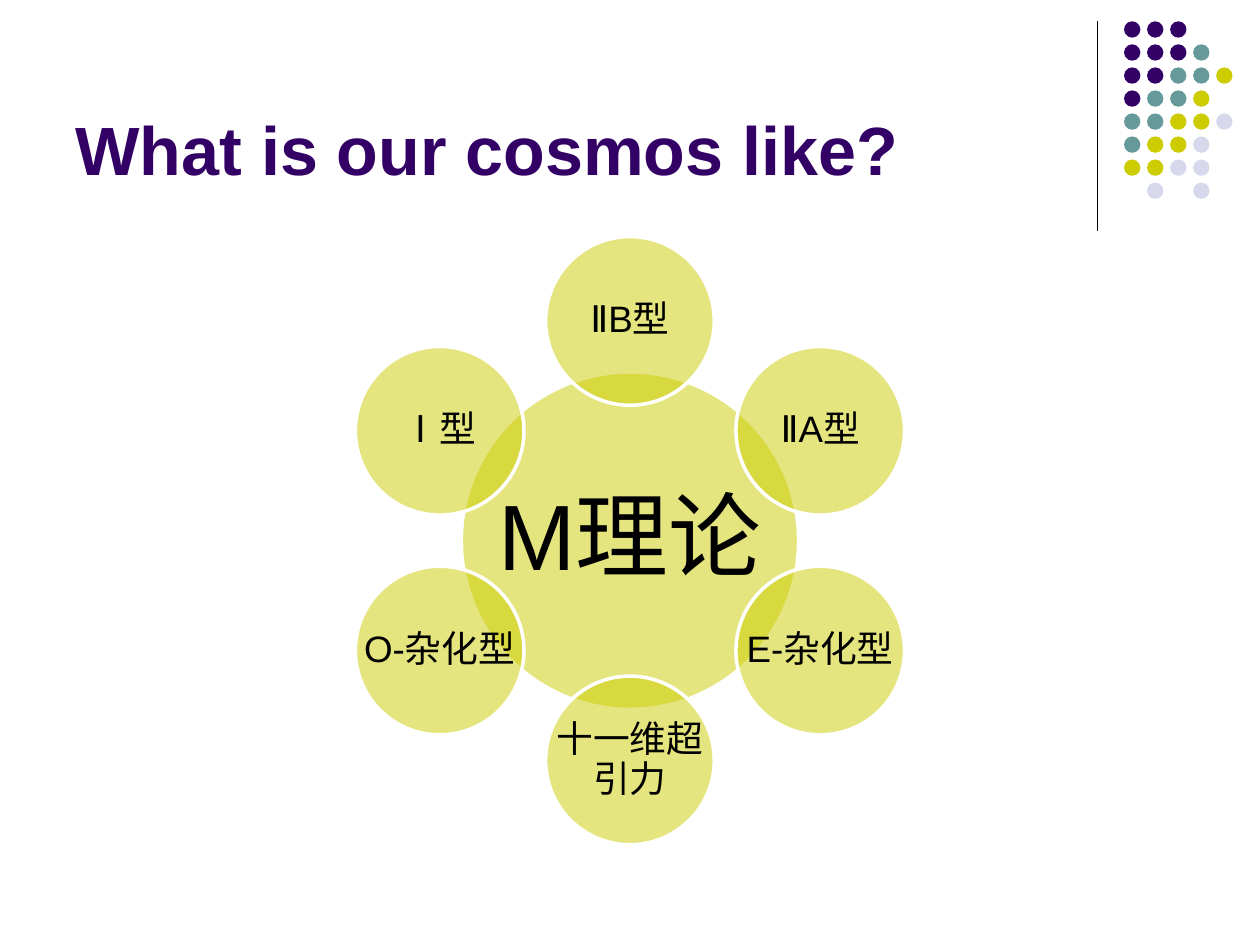
from dataclasses import dataclass
from math import cos, radians, sin

from lxml.etree import SubElement
from pptx import Presentation
from pptx.dml.color import RGBColor
from pptx.enum.shapes import MSO_CONNECTOR, MSO_SHAPE
from pptx.enum.text import MSO_ANCHOR, MSO_AUTO_SIZE, PP_ALIGN
from pptx.oxml.ns import qn
from pptx.util import Cm, Pt


@dataclass(frozen=True)
class Theme:
    font: str = "Arial"
    purple: RGBColor = RGBColor(0x33, 0x00, 0x66)
    teal: RGBColor = RGBColor(0x66, 0x99, 0x99)
    olive: RGBColor = RGBColor(0xCC, 0xCC, 0x00)
    lavender: RGBColor = RGBColor(0xD8, 0xD8, 0xEC)
    black: RGBColor = RGBColor(0x00, 0x00, 0x00)
    white: RGBColor = RGBColor(0xFF, 0xFF, 0xFF)
    title_size: int = 39
    hub_size: int = 53
    theory_size: int = 21


THEME = Theme()

# One letter per dot: purple, teal, olive, lavender; a space leaves a gap.
DOT_ROWS = ["PPP", "PPPT", "PPTTO", "PTTO", "TTOOL", "TOOL", "OOLL", " L L"]
DOT_COLORS = {"P": THEME.purple, "T": THEME.teal,
              "O": THEME.olive, "L": THEME.lavender}
DOT_LEFT, DOT_TOP, DOT_SIZE = 22.66, 0.43, 0.33
DOT_PITCH = 3.25 / 7

HUB_X, HUB_Y = 12.7, 10.9
HUB_DIAMETER, THEORY_DIAMETER = 6.8, 3.4
ORBIT_RADIUS = 4.43
THEORIES = ["ⅡB型", "ⅡA型", "E-杂化型", "十一维超引力", "O-杂化型", "Ⅰ型"]


def style_text(text_frame, size, color, bold=False):
    for paragraph in text_frame.paragraphs:
        for run in paragraph.runs:
            run.font.name = THEME.font
            run.font.size = Pt(size)
            run.font.bold = bold
            run.font.color.rgb = color


def add_title(slide, text):
    title = slide.shapes.title
    title.left, title.top = Cm(1.27), Cm(0.33)
    title.width, title.height = Cm(20.96), Cm(3.61)
    text_frame = title.text_frame
    text_frame.text = text
    text_frame.vertical_anchor = MSO_ANCHOR.BOTTOM
    text_frame.auto_size = MSO_AUTO_SIZE.NONE
    text_frame.paragraphs[0].alignment = PP_ALIGN.LEFT
    style_text(text_frame, THEME.title_size, THEME.purple, bold=True)


def add_circle(shapes, left, top, diameter, color):
    circle = shapes.add_shape(MSO_SHAPE.OVAL, Cm(left), Cm(top),
                              Cm(diameter), Cm(diameter))
    circle.shadow.inherit = False
    circle.fill.solid()
    circle.fill.fore_color.rgb = color
    circle.line.fill.background()
    return circle


def add_divider(slide):
    divider = slide.shapes.add_connector(MSO_CONNECTOR.STRAIGHT, Cm(22.12),
                                         Cm(0.43), Cm(22.12), Cm(4.65))
    divider.line.color.rgb = THEME.black
    divider.line.width = Pt(0.75)
    SubElement(divider._element.spPr, qn("a:effectLst"))


def add_dot_pattern(slide):
    group = slide.shapes.add_group_shape()
    for row, letters in enumerate(DOT_ROWS):
        for column, letter in enumerate(letters):
            if letter in DOT_COLORS:
                add_circle(group.shapes, DOT_LEFT + column * DOT_PITCH,
                           DOT_TOP + row * DOT_PITCH, DOT_SIZE,
                           DOT_COLORS[letter])


def set_opacity(shape, percent):
    color = shape._element.spPr.find(qn("a:solidFill"))[0]
    SubElement(color, qn("a:alpha"), val=str(percent * 1000))


def add_bubble(shapes, center_x, center_y, diameter, text, size, inset):
    """Draw a translucent circle with a label as wide as the circle."""
    left, top = center_x - diameter / 2, center_y - diameter / 2
    circle = add_circle(shapes, left, top, diameter, THEME.olive)
    set_opacity(circle, 50)
    circle.line.color.rgb = THEME.white
    circle.line.width = Pt(2)

    label = shapes.add_textbox(Cm(left), Cm(top), Cm(diameter), Cm(diameter))
    text_frame = label.text_frame
    text_frame.word_wrap = True
    text_frame.vertical_anchor = MSO_ANCHOR.MIDDLE
    text_frame.margin_left = text_frame.margin_right = Cm(inset)
    text_frame.margin_top = text_frame.margin_bottom = Cm(inset)
    text_frame.text = text
    paragraph = text_frame.paragraphs[0]
    paragraph.alignment = PP_ALIGN.CENTER
    paragraph.line_spacing = 0.9
    style_text(text_frame, size, THEME.black)


def add_theory_diagram(slide):
    """Place the theories clockwise around the hub, starting at the top."""
    shapes = slide.shapes.add_group_shape().shapes
    add_bubble(shapes, HUB_X, HUB_Y, HUB_DIAMETER, "M理论",
               THEME.hub_size, 0.18)
    for index, theory in enumerate(THEORIES):
        angle = radians(index * 360 / len(THEORIES))
        add_bubble(shapes, HUB_X + ORBIT_RADIUS * sin(angle),
                   HUB_Y - ORBIT_RADIUS * cos(angle), THEORY_DIAMETER,
                   theory, THEME.theory_size, 0.08)


def main():
    presentation = Presentation()
    presentation.slide_width, presentation.slide_height = Cm(25.4), Cm(19.05)
    title_only = presentation.slide_layouts[5]
    slide = presentation.slides.add_slide(title_only)
    add_divider(slide)
    add_dot_pattern(slide)
    add_title(slide, "What is our cosmos like?")
    add_theory_diagram(slide)
    presentation.save("out.pptx")


if __name__ == "__main__":
    main()
